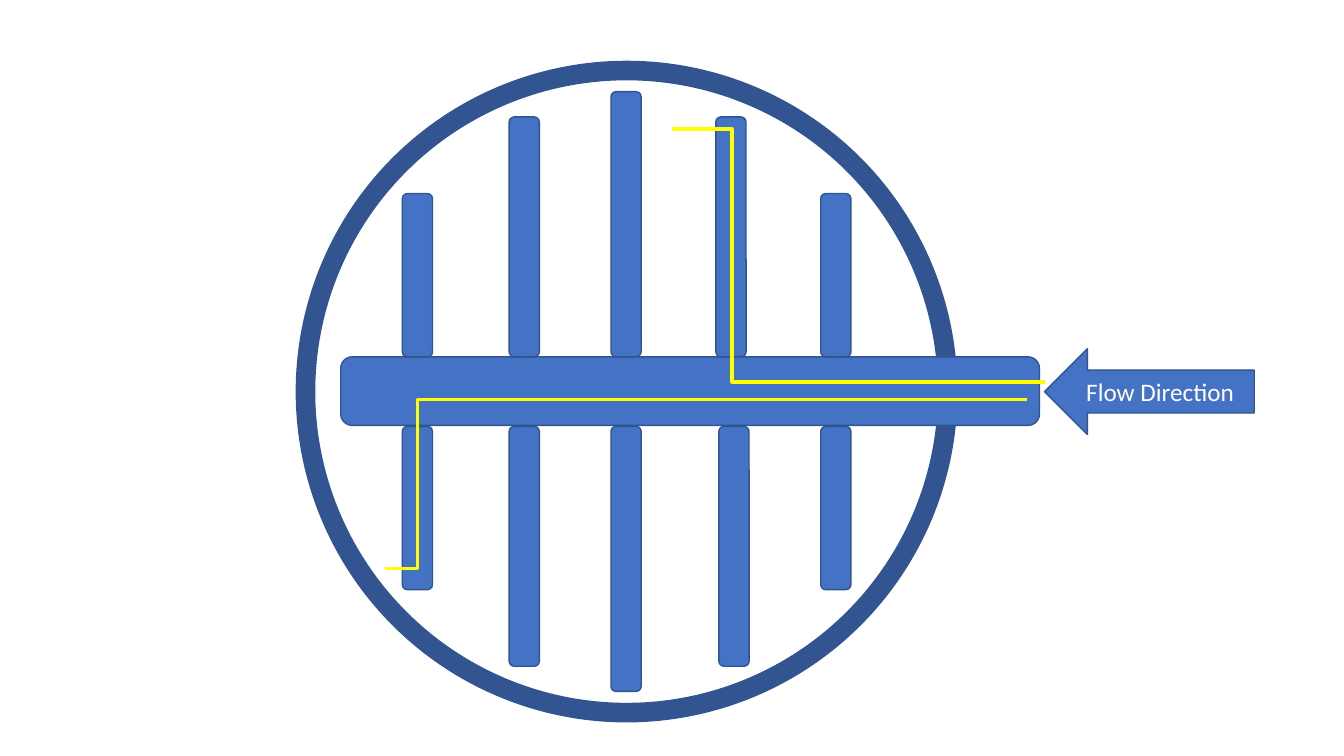
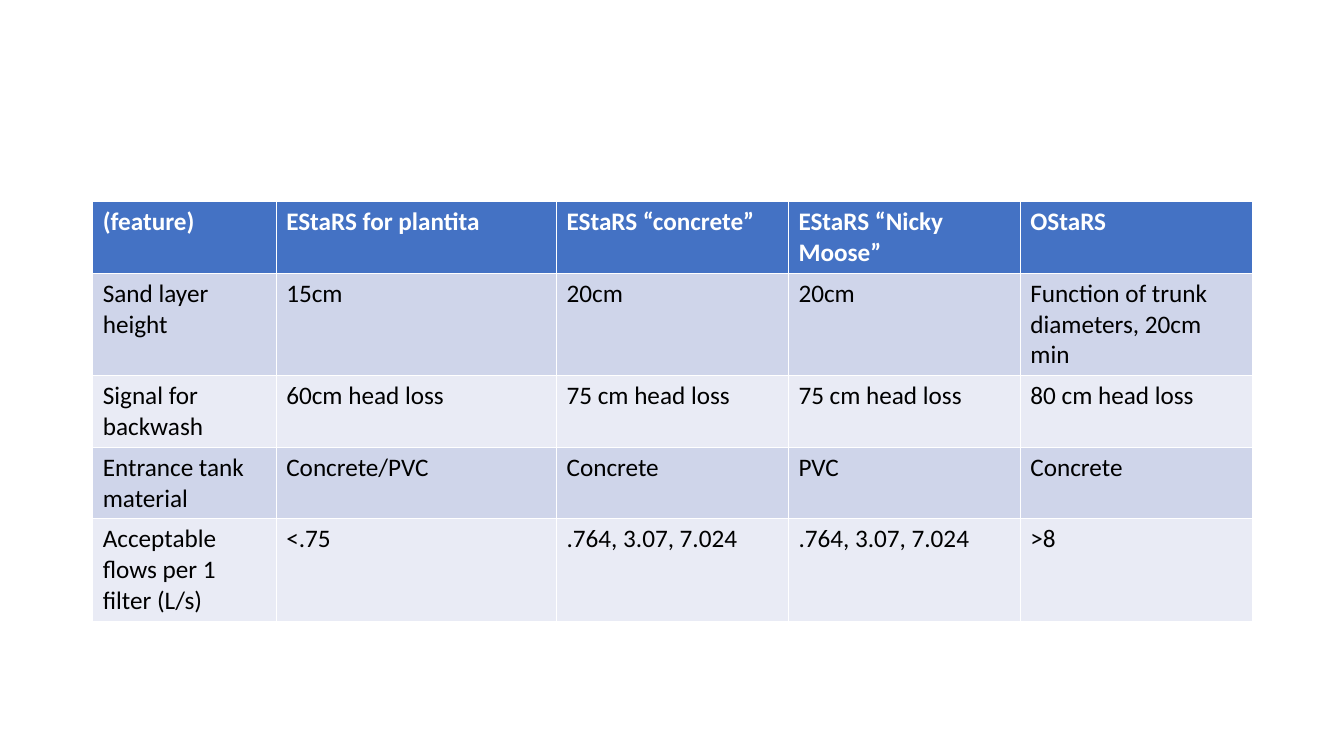
from typing import NamedTuple

from lxml.etree import SubElement
from pptx import Presentation
from pptx.dml.color import RGBColor
from pptx.enum.shapes import MSO_CONNECTOR, MSO_SHAPE
from pptx.enum.text import MSO_ANCHOR, PP_ALIGN
from pptx.oxml.ns import qn
from pptx.shapes.autoshape import Shape
from pptx.slide import Slide
from pptx.text.text import _Paragraph as Paragraph
from pptx.util import Inches, Pt

BLUE = RGBColor(0x44, 0x72, 0xC4)
DARK_BLUE = RGBColor(0x32, 0x54, 0x91)
YELLOW = RGBColor(0xFF, 0xFF, 0x00)
WHITE = RGBColor(0xFF, 0xFF, 0xFF)
BLACK = RGBColor(0x00, 0x00, 0x00)
BAND_DARK = RGBColor(0xCF, 0xD5, 0xEA)
BAND_LIGHT = RGBColor(0xE9, 0xEB, 0xF5)
FONT = "Calibri"
FONT_SIZE = Pt(18)


class Box(NamedTuple):
    left: float
    top: float
    width: float
    height: float


class Lateral(NamedTuple):
    upper_left: float
    lower_left: float
    length: float


class FlowPath(NamedTuple):
    start: tuple[float, float]
    end: tuple[float, float]
    bend: float


TANK = Box(3.03, 0.7, 6.37, 6.37)
TRUNK = Box(3.38, 3.54, 6.93, 0.68)
FLOW_ARROW = Box(10.36, 3.46, 2.08, 0.85)
LATERAL_WIDTH = 0.3
LATERALS = [
    Lateral(3.99, 3.99, 1.62),
    Lateral(5.05, 5.05, 2.38),
    Lateral(6.06, 6.06, 2.63),
    Lateral(7.1, 7.13, 2.38),
    Lateral(8.14, 8.14, 1.62),
]
FLOW_PATHS = [
    FlowPath((10.36, 3.79), (6.67, 1.28), 0.84),
    FlowPath((10.19, 3.96), (3.82, 5.64), 0.95),
]

TABLE_LEFT, TABLE_TOP = 0.92, 2.0
COLUMN_WIDTHS = [1.82, 2.78, 2.3, 2.3, 2.3]
ROW_HEIGHTS = [0.7, 1.0, 0.7, 0.7, 1.0]
FEATURES = [
    ["(feature)", "EStaRS for plantita", "EStaRS “concrete”", "EStaRS “Nicky Moose”", "OStaRS"],
    ["Sand layer height", "15cm", "20cm", "20cm", "Function of trunk diameters, 20cm min"],
    ["Signal for backwash", "60cm head loss", "75 cm head loss", "75 cm head loss", "80 cm head loss"],
    ["Entrance tank material", "Concrete/PVC", "Concrete", "PVC", "Concrete"],
    ["Acceptable flows per 1 filter (L/s)", "<.75", ".764, 3.07, 7.024", ".764, 3.07, 7.024", ">8"],
]


def add_text(paragraph: Paragraph, text: str, color: RGBColor, bold: bool = False) -> None:
    run = paragraph.add_run()
    run.text = text
    run.font.name = FONT
    run.font.size = FONT_SIZE
    run.font.bold = bold
    run.font.color.rgb = color


def add_figure(shapes, preset: MSO_SHAPE, box: Box, line_width: float = 1, filled: bool = True) -> Shape:
    shape = shapes.add_shape(preset, *map(Inches, box))
    shape.shadow.inherit = False
    if filled:
        shape.fill.solid()
        shape.fill.fore_color.rgb = BLUE
    else:
        shape.fill.background()
    shape.line.color.rgb = DARK_BLUE
    shape.line.width = Pt(line_width)
    return shape


def add_manifold(slide: Slide) -> None:
    pipes = slide.shapes.add_group_shape().shapes
    add_figure(pipes, MSO_SHAPE.ROUNDED_RECTANGLE, TRUNK)
    trunk_bottom = TRUNK.top + TRUNK.height
    for lateral in LATERALS:
        for left, top in (
            (lateral.upper_left, TRUNK.top - lateral.length),
            (lateral.lower_left, trunk_bottom + 0.01),
        ):
            add_figure(pipes, MSO_SHAPE.ROUNDED_RECTANGLE, Box(left, top, LATERAL_WIDTH, lateral.length))


def add_flow_path(slide: Slide, flow: FlowPath) -> None:
    connector = slide.shapes.add_connector(MSO_CONNECTOR.ELBOW, *map(Inches, flow.start + flow.end))
    connector.line.color.rgb = YELLOW
    connector.line.width = Pt(2.25)
    properties = connector._element.spPr
    SubElement(properties, qn("a:effectLst"))
    adjustments = properties.find(qn("a:prstGeom")).get_or_add_avLst()
    SubElement(adjustments, qn("a:gd"), name="adj1", fmla=f"val {round(flow.bend * 100000)}")


def build_flow_slide(slide: Slide) -> None:
    add_figure(slide.shapes, MSO_SHAPE.OVAL, TANK, line_width=14, filled=False)
    add_manifold(slide)
    arrow = add_figure(slide.shapes, MSO_SHAPE.LEFT_ARROW, FLOW_ARROW)
    arrow.text_frame.vertical_anchor = MSO_ANCHOR.MIDDLE
    paragraph = arrow.text_frame.paragraphs[0]
    paragraph.alignment = PP_ALIGN.CENTER
    add_text(paragraph, "Flow Direction", WHITE)
    for flow in FLOW_PATHS:
        add_flow_path(slide, flow)


def build_feature_slide(slide: Slide) -> None:
    box = Box(TABLE_LEFT, TABLE_TOP, sum(COLUMN_WIDTHS), sum(ROW_HEIGHTS))
    table = slide.shapes.add_table(len(ROW_HEIGHTS), len(COLUMN_WIDTHS), *map(Inches, box)).table
    for column, width in zip(table.columns, COLUMN_WIDTHS):
        column.width = Inches(width)
    for row_index, (row, height, texts) in enumerate(zip(table.rows, ROW_HEIGHTS, FEATURES)):
        row.height = Inches(height)
        header = row_index == 0
        band = BAND_DARK if row_index % 2 else BAND_LIGHT
        for cell, text in zip(row.cells, texts):
            cell.fill.solid()
            cell.fill.fore_color.rgb = BLUE if header else band
            add_text(cell.text_frame.paragraphs[0], text, WHITE if header else BLACK, bold=header)


def main() -> None:
    presentation = Presentation()
    presentation.slide_width = Inches(13.33)
    presentation.slide_height = Inches(7.5)
    blank_layout = presentation.slide_layouts[6]
    for build in (build_flow_slide, build_feature_slide):
        build(presentation.slides.add_slide(blank_layout))
    presentation.save("out.pptx")


if __name__ == "__main__":
    main()
